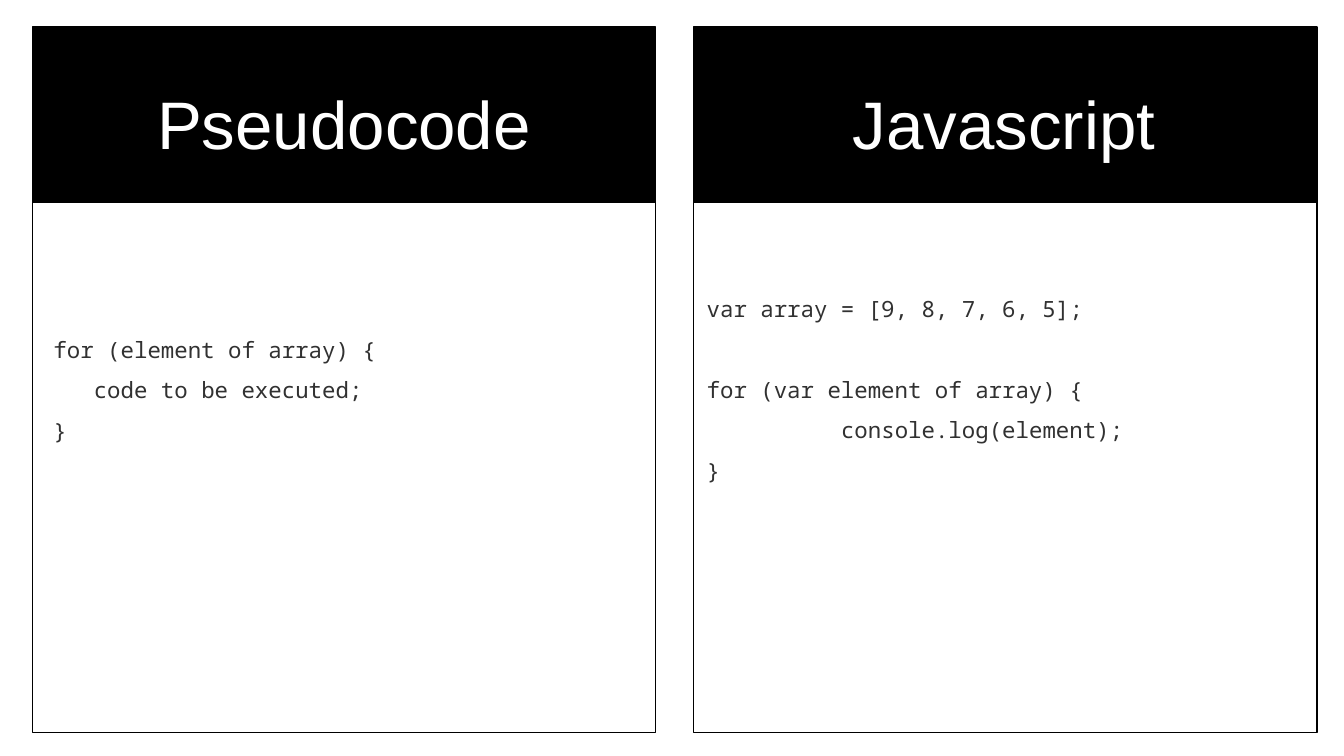
import pptx
import pptx.util
import pptx.dml.color
import pptx.enum.shapes
import pptx.enum.text

Inches, Pt = pptx.util.Inches, pptx.util.Pt
RGB = pptx.dml.color.RGBColor
BLACK, WHITE, INK = RGB(0, 0, 0), RGB(255, 255, 255), RGB(0x31, 0x31, 0x31)

# Content: code lines are (text, indent in inches, blank lines above)
PANELS = [
    {"title": "Pseudocode", "left": 0.24, "head": 0.76, "pad": 0.06,
     "drop": 1, "code": [
        ("for (element of array) {", 0, 0),
        ("code to be executed;", 0.3, 0),
        ("}", 0, 0)]},
    {"title": "Javascript", "left": 5.16, "head": 5.67, "pad": 0,
     "drop": 0.6, "code": [
        ("var array = [9, 8, 7, 6, 5];", 0, 0),
        ("for (var element of array) {", 0, 1),
        ("console.log(element);", 1, 0),
        ("}", 0, 0)]},
]

# Layout
TOP, WIDE, TALL, HEAD = 0.2, 4.64, 5.25, 1.31
INSET, STEP = 0.1, 0.3
TITLE = {"size": Pt(36), "name": "Arial", "color": WHITE}
CODE = {"size": Pt(12), "name": "Noto Sans Mono", "color": INK}

deck = pptx.Presentation()
deck.slide_width = Inches(10)
deck.slide_height = Inches(10 * 9 / 16)
slide = deck.slides.add_slide(deck.slide_layouts[6])


def style(font, look):
    for key, value in look.items():
        if key == "color":
            font.color.rgb = value
        else:
            setattr(font, key, value)


def add_rect(group, left, height, fill=None):
    rect = group.shapes.add_shape(
        pptx.enum.shapes.MSO_SHAPE.RECTANGLE,
        Inches(left), Inches(TOP), Inches(WIDE), Inches(height))
    rect.shadow.inherit = False
    if fill is None:
        rect.fill.background()
        rect.line.color.rgb = BLACK
        rect.line.width = Pt(0.75)
    else:
        rect.fill.solid()
        rect.fill.fore_color.rgb = fill
        rect.line.fill.background()


def add_text(left, top, width, height, inset):
    box = slide.shapes.add_textbox(*map(Inches, (left, top, width, height)))
    frame = box.text_frame
    frame.word_wrap = True
    frame.vertical_anchor = pptx.enum.text.MSO_ANCHOR.TOP
    for side in ("left", "right", "bottom"):
        setattr(frame, "margin_" + side, Inches(INSET))
    frame.margin_top = Inches(inset)
    return frame


for panel in PANELS:
    left = panel["left"]

    # Frame and header band
    group = slide.shapes.add_group_shape()
    add_rect(group, left, TALL)
    add_rect(group, left, HEAD, BLACK)

    # Title
    para = add_text(panel["head"], 0.51, 3.6, 0.63, INSET).paragraphs[0]
    para.alignment = pptx.enum.text.PP_ALIGN.CENTER
    run = para.add_run()
    run.text = panel["title"]
    style(run.font, TITLE)

    # Code, lowered by the top inset
    frame = add_text(left, 1.5, WIDE, 3.94, panel["drop"])
    for i, (text, indent, gap) in enumerate(panel["code"]):
        para = frame.add_paragraph() if i else frame.paragraphs[0]
        para.line_spacing = 1.5
        para.space_before = Inches(gap * STEP)
        para._p.get_or_add_pPr().set("marL", str(Inches(panel["pad"] + indent)))
        run = para.add_run()
        run.text = text
        style(run.font, CODE)

deck.save("out.pptx")
